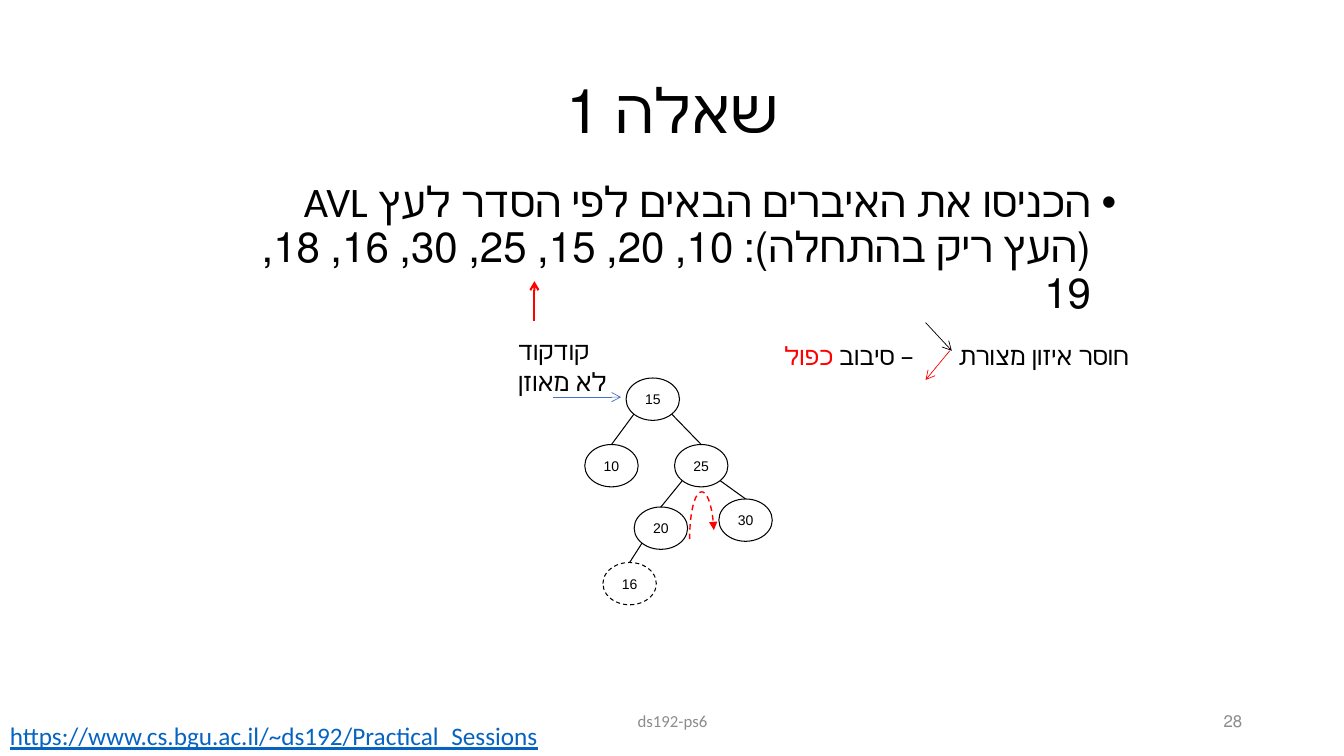
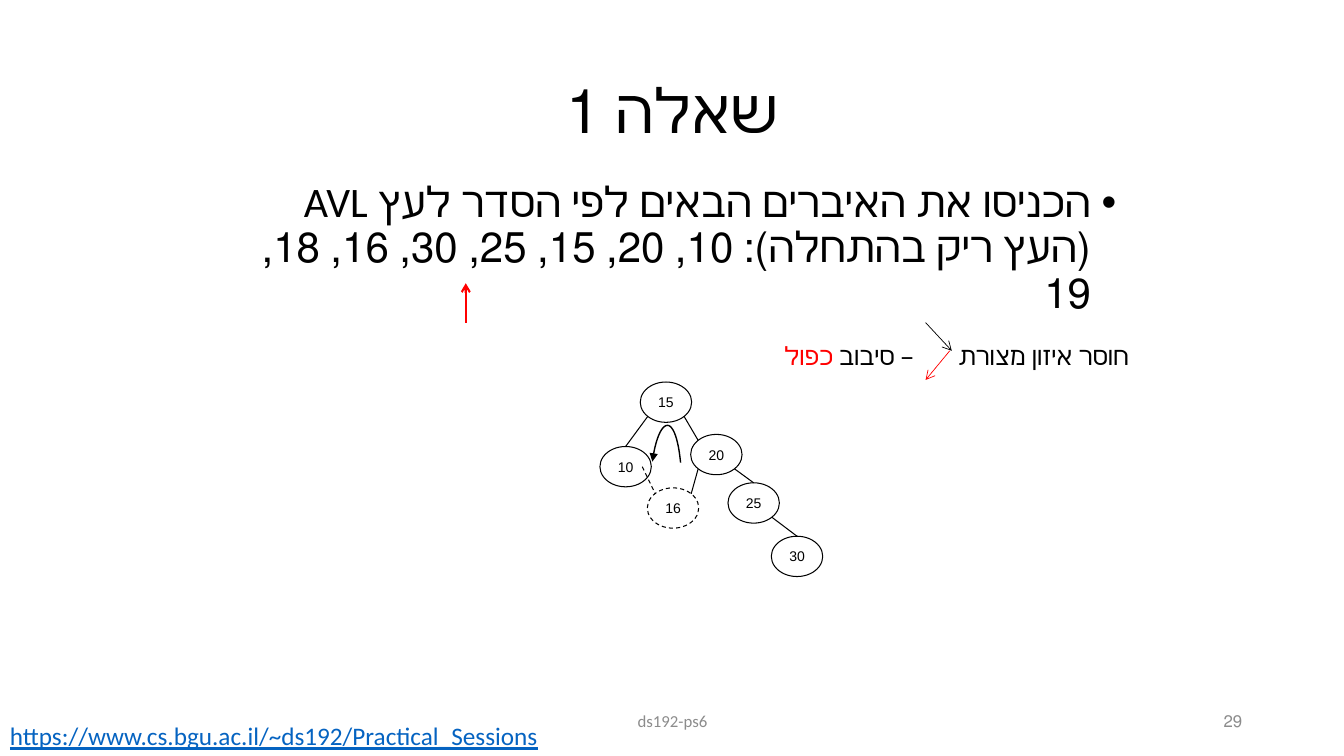
from lxml.etree import SubElement
from pptx import Presentation
from pptx.dml.color import RGBColor
from pptx.enum.dml import MSO_LINE
from pptx.enum.shapes import MSO_CONNECTOR, MSO_SHAPE
from pptx.enum.text import MSO_ANCHOR, PP_ALIGN
from pptx.oxml.ns import qn
from pptx.util import Inches, Pt

BLACK, WHITE, RED = "000000", "FFFFFF", "FF0000"
BLUE, GRAY, LINK = "4472C4", "8C8C8C", "0563C1"
DIAGONAL = 0.5 ** 0.5
LEFT_FOOT, RIGHT_FOOT = (-DIAGONAL, DIAGONAL), (DIAGONAL, DIAGONAL)
LEFT_SHOULDER, RIGHT_SHOULDER = (-DIAGONAL, -DIAGONAL), (DIAGONAL, -DIAGONAL)
TOP = (0, -1)

TITLE = "שאלה 1"
QUESTION = ("הכניסו את האיברים הבאים לפי הסדר לעץ AVL (העץ ריק בהתחלה): "
            "10, 20, 15, 25, 30, 16, 18, 19")
FOOTER = "ds192-ps6"
ADDRESS = "https://www.cs.bgu.ac.il/~ds192/Practical_Sessions"


def color(value):
    return RGBColor.from_string(value)


def bezier(start, first, second, end, steps=12):
    points = []
    for step in range(1, steps + 1):
        t = step / steps
        weights = ((1 - t) ** 3, 3 * t * (1 - t) ** 2, 3 * t * t * (1 - t), t ** 3)
        corners = (start, first, second, end)
        points.append(tuple(sum(w * c[axis] for w, c in zip(weights, corners))
                            for axis in (0, 1)))
    return points


class TreeDeck:
    text_font = "Calibri"
    node_font = "Arial"

    def __init__(self):
        self.deck = Presentation()
        self.deck.slide_width = Inches(13.33)
        self.deck.slide_height = Inches(7.5)
        self.page = None

    def new_page(self, number):
        self.page = self.deck.slides.add_slide(self.deck.slide_layouts[6])
        self.text((0.92, 0.4, 11.5, 1.45), [(TITLE, BLACK)], 44, PP_ALIGN.CENTER,
                  rtl=True, middle=True, spacing=0.9)
        self.text((2.17, 1.75, 9, 1.13), [(QUESTION, BLACK)], 30, PP_ALIGN.RIGHT,
                  rtl=True, spacing=0.9, bullet=True)
        self.text((4.42, 6.95, 4.5, 0.4), [(FOOTER, GRAY)], 12, PP_ALIGN.CENTER,
                  rtl=True, middle=True)
        self.text((9.42, 6.95, 3, 0.4), [(str(number), GRAY)], 12, PP_ALIGN.RIGHT,
                  rtl=True, middle=True)
        self.text((0, 7.1, 5.5, 0.4), [(ADDRESS, LINK)], 18, underline=True)

    def text(self, place, spans, size, align=PP_ALIGN.LEFT, rtl=False, middle=False,
             spacing=None, bullet=False, underline=None):
        box = self.page.shapes.add_textbox(*map(Inches, place))
        frame = box.text_frame
        frame.word_wrap = True
        frame.vertical_anchor = MSO_ANCHOR.MIDDLE if middle else MSO_ANCHOR.TOP
        para = frame.paragraphs[0]
        properties = para._p.get_or_add_pPr()
        if rtl:
            properties.set("rtl", "1")
        if bullet:
            properties.set("marL", str(Inches(0.25)))
            properties.set("indent", str(Inches(-0.25)))
            SubElement(properties, qn("a:buFont"), typeface="Arial")
            SubElement(properties, qn("a:buChar"), char="•")
        para.alignment = align
        if spacing:
            para.line_spacing = spacing
        for words, shade in spans:
            span = para.add_run()
            span.text = words
            self.style(span, size, shade, self.text_font)
            span.font.underline = underline

    def style(self, span, size, shade, font):
        span.font.size = Pt(size)
        span.font.name = font
        span.font.color.rgb = color(shade)

    def outline(self, line, shade, width, dashed=False, head=None):
        line.color.rgb = color(shade)
        line.width = Pt(width)
        if dashed:
            line.dash_style = MSO_LINE.DASH
        if head:
            SubElement(line._get_or_add_ln(), qn("a:tailEnd"), type=head)

    def node(self, value, place, size, dashed=False):
        oval = self.page.shapes.add_shape(MSO_SHAPE.OVAL, *map(Inches, place + size))
        oval.shadow.inherit = False
        oval.fill.solid()
        oval.fill.fore_color.rgb = color(WHITE)
        self.outline(oval.line, BLACK, 0.75, dashed)
        frame = oval.text_frame
        frame.margin_left = frame.margin_right = 0
        frame.margin_top = frame.margin_bottom = 0
        frame.vertical_anchor = MSO_ANCHOR.MIDDLE
        frame.text = str(value)
        para = frame.paragraphs[0]
        para.alignment = PP_ALIGN.CENTER
        self.style(para.runs[0], 10, BLACK, self.node_font)

    def line(self, start, end, shade=BLACK, width=0.75, dashed=False, head=None):
        connector = self.page.shapes.add_connector(
            MSO_CONNECTOR.STRAIGHT, *map(Inches, start + end))
        self.outline(connector.line, shade, width, dashed, head)
        SubElement(connector._element.spPr, qn("a:effectLst"))

    def tree(self, places, size, edges, dashed_value):
        for value, place in places.items():
            self.node(value, place, size, value == dashed_value)

        def rim(value, side):
            return tuple(corner + extent / 2 * (1 + offset) for corner, extent, offset
                         in zip(places[value], size, side))

        for parent, foot, child, joint in edges:
            self.line(rim(parent, foot), rim(child, joint))

    def rotation(self, start, curves, shade, dashed=False):
        builder = self.page.shapes.build_freeform(*map(Inches, start))
        points = []
        for curve in curves:
            points += bezier(start, *curve)
            start = curve[-1]
        builder.add_line_segments([tuple(map(Inches, point)) for point in points],
                                  close=False)
        arc = builder.convert_to_shape()
        arc.shadow.inherit = False
        arc.fill.background()
        self.outline(arc.line, shade, 1, dashed, "triangle")

    def input_marker(self, x, top):
        self.line((x, top + 0.39), (x, top), RED, 1.5, head="arrow")

    def imbalance_note(self):
        self.line((9.42, 3.48), (9.18, 3.77), RED, 0.5, head="arrow")
        self.line((9.18, 3.2), (9.44, 3.48), BLACK, 0.5, head="arrow")
        self.text((9.41, 3.33, 2.3, 0.4), [("חוסר איזון מצורת", BLACK)], 18)
        self.text((7.26, 3.33, 1.9, 0.4), [("– סיבוב ", BLACK), ("כפול", RED)], 18,
                  PP_ALIGN.RIGHT, rtl=True)


def first_rotation(deck):
    deck.new_page(28)
    deck.input_marker(5.3, 2.79)
    deck.tree(
        {20: (6.29, 5.03), 10: (5.8, 4.41), 15: (6.21, 3.75), 25: (6.69, 4.41),
         30: (7.13, 4.95), 16: (5.98, 5.58)},
        (0.53, 0.42),
        [(15, LEFT_FOOT, 10, TOP), (15, RIGHT_FOOT, 25, TOP), (25, LEFT_FOOT, 20, TOP),
         (25, RIGHT_FOOT, 30, TOP), (20, LEFT_FOOT, 16, TOP)],
        dashed_value=16)
    deck.rotation((6.84, 5.35), [((6.84, 5.09), (6.89, 4.88), (6.96, 4.88)),
                                 ((7.02, 4.88), (7.07, 5.04), (7.08, 5.26))],
                  RED, dashed=True)
    deck.line((5.48, 3.94), (6.16, 3.94), BLUE, 0.5, head="arrow")
    deck.text((5.04, 3.28, 1.16, 0.71), [("קודקוד לא מאוזן", BLACK)], 18)
    deck.imbalance_note()


def second_rotation(deck):
    deck.new_page(29)
    deck.input_marker(4.62, 2.81)
    deck.tree(
        {10: (5.95, 4.43), 15: (6.35, 3.79), 16: (6.42, 4.84), 25: (7.22, 4.79),
         30: (7.65, 5.32), 20: (6.85, 4.31)},
        (0.51, 0.4),
        [(15, LEFT_FOOT, 10, TOP), (15, RIGHT_FOOT, 20, LEFT_SHOULDER),
         (20, LEFT_FOOT, 16, RIGHT_SHOULDER), (20, RIGHT_FOOT, 25, TOP),
         (25, RIGHT_FOOT, 30, TOP)],
        dashed_value=16)
    deck.line((6.37, 4.63), (6.5, 4.9), dashed=True)
    deck.rotation((6.75, 4.59), [((6.73, 4.37), (6.68, 4.22), (6.62, 4.22)),
                                 ((6.56, 4.22), (6.5, 4.36), (6.47, 4.58))], BLACK)
    deck.imbalance_note()


def main():
    deck = TreeDeck()
    first_rotation(deck)
    second_rotation(deck)
    deck.deck.save("out.pptx")


if __name__ == "__main__":
    main()
